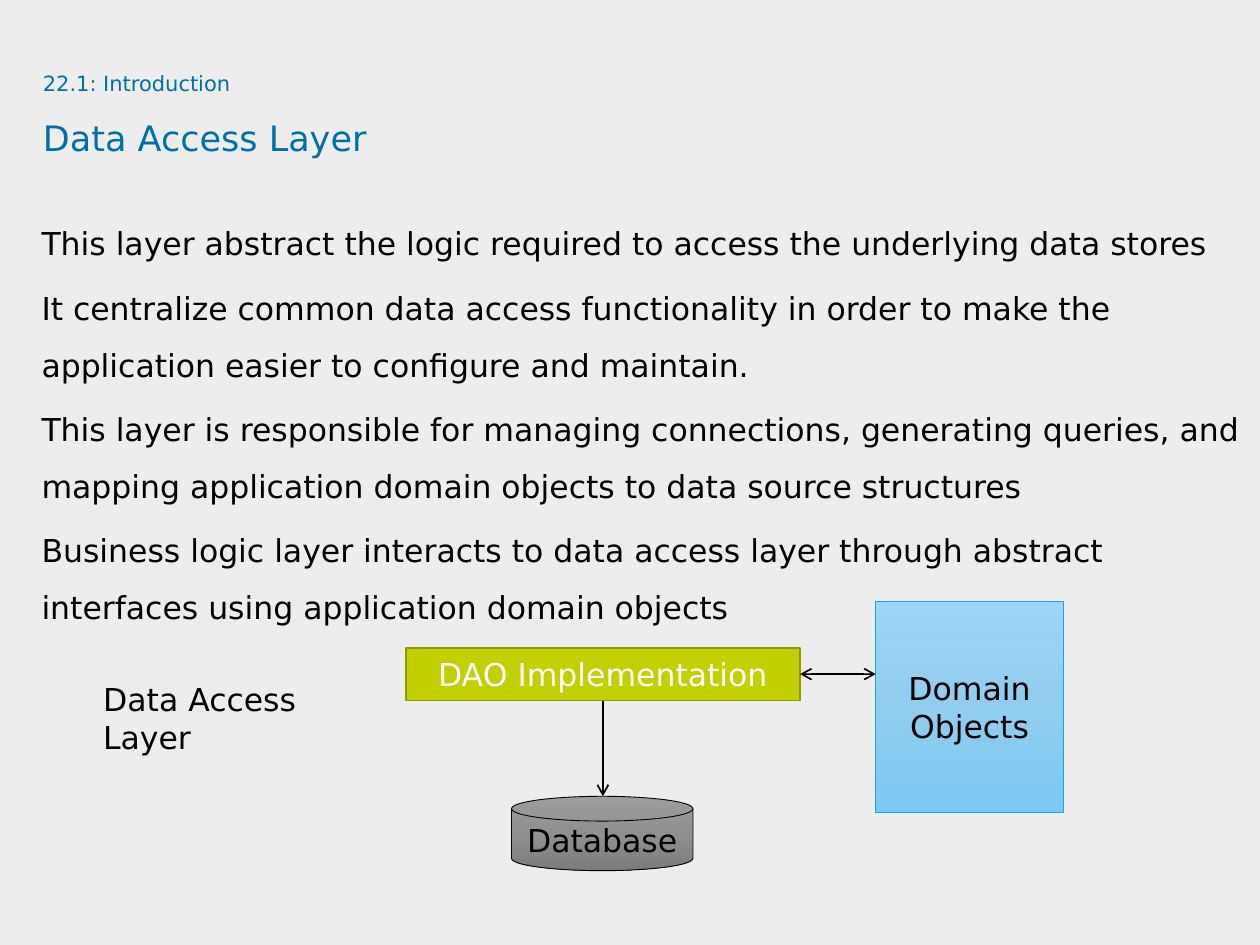
import copy
from dataclasses import dataclass

import pptx
import pptx.dml.color
import pptx.enum.shapes
import pptx.enum.text
import pptx.oxml
import pptx.oxml.ns
import pptx.util

Inches = pptx.util.Inches
Pt = pptx.util.Pt
SHAPE = pptx.enum.shapes.MSO_SHAPE
ALIGN = pptx.enum.text.PP_ALIGN
ANCHOR = pptx.enum.text.MSO_ANCHOR
qn = pptx.oxml.ns.qn


@dataclass(frozen=True)
class Theme:
    font: str = "DejaVu Sans"
    background: str = "EDEDED"
    heading: str = "0070AD"
    ink: str = "000000"
    light: str = "FFFFFF"
    dao_fill: tuple = ("C2CF00",)
    dao_line: str = "909900"
    database_fill: tuple = ("9D9D9D", "909090", "7C7C7C")
    domain_fill: tuple = ("9ED5F6", "91CDEF", "7CC8F3")
    domain_line: str = "12ABDB"
    section_size: int = 12
    title_size: int = 20
    body_size: int = 18


theme = Theme()

heading = [("22.1: Introduction ", theme.section_size), ("Data Access Layer", theme.title_size)]
statements = [
    "This layer abstract the logic required to access the underlying data stores",
    "It centralize common data access functionality in order to make the application easier to configure and maintain.",
    "This layer is responsible for managing connections, generating queries, and mapping application domain objects to data source structures",
    "Business logic layer interacts to data access layer through abstract interfaces using application domain objects",
]
layer_label = "Data Access Layer"
nodes = {
    "dao": dict(lines=["DAO Implementation"], kind=SHAPE.RECTANGLE, box=(3.22, 5.14, 3.13, 0.42),
                fill=theme.dao_fill, line=theme.dao_line, weight=1, ink=theme.light),
    "database": dict(lines=["Database"], kind=SHAPE.FLOWCHART_MAGNETIC_DISK, box=(4.06, 6.32, 1.44, 0.59),
                     fill=theme.database_fill, line=theme.ink, weight=0.5, ink=theme.ink),
    "domain": dict(lines=["Domain", "Objects"], kind=SHAPE.RECTANGLE, box=(6.95, 4.77, 1.49, 1.68),
                   fill=theme.domain_fill, line=theme.domain_line, weight=0.5, ink=theme.ink),
}


def rgb(code):
    return pptx.dml.color.RGBColor.from_string(code)


def add_run(paragraph, text, size=theme.body_size, color=theme.ink):
    run = paragraph.add_run()
    run.text = text
    run.font.name = theme.font
    run.font.size = Pt(size)
    run.font.color.rgb = rgb(color)


def paragraphs(frame, count):
    return [frame.paragraphs[0]] + [frame.add_paragraph() for _ in range(count - 1)]


def add_text_area(slide, box, inset=True):
    frame = slide.shapes.add_textbox(*map(Inches, box)).text_frame
    frame.word_wrap = True
    if not inset:
        frame.margin_left = frame.margin_top = frame.margin_right = frame.margin_bottom = 0
    return frame


def paint(shape, colors):
    if len(colors) == 1:
        shape.fill.solid()
        shape.fill.fore_color.rgb = rgb(colors[0])
        return
    shape.fill.gradient()
    shape.fill.gradient_angle = 270
    stops = shape._element.spPr.find(qn("a:gradFill")).find(qn("a:gsLst"))
    stops.insert(1, copy.deepcopy(stops[0]))
    for index, (stop, color) in enumerate(zip(shape.fill.gradient_stops, colors)):
        stop.position = index / (len(colors) - 1)
        stop.color.rgb = rgb(color)


def add_node(slide, node):
    shape = slide.shapes.add_shape(node["kind"], *map(Inches, node["box"]))
    shape.shadow.inherit = False
    paint(shape, node["fill"])
    shape.line.color.rgb = rgb(node["line"])
    shape.line.width = Pt(node["weight"])
    frame = shape.text_frame
    frame.word_wrap = True
    frame.vertical_anchor = ANCHOR.MIDDLE
    for paragraph, text in zip(paragraphs(frame, len(node["lines"])), node["lines"]):
        paragraph.alignment = ALIGN.CENTER
        add_run(paragraph, text, color=node["ink"])


def add_arrow(slide, start, end, heads):
    arrow = slide.shapes.add_connector(
        pptx.enum.shapes.MSO_CONNECTOR.STRAIGHT, *map(Inches, start + end))
    arrow.line.color.rgb = rgb(theme.ink)
    arrow.line.width = Pt(1)
    properties = arrow._element.spPr
    for head in heads:
        pptx.oxml.parse_xml(
            '<a:effectLst xmlns:a="http://schemas.openxmlformats.org/drawingml/2006/main"/>')
        line = properties.find(qn("a:ln"))
        line.append(line.makeelement(qn(head), {"type": "arrow"}))
    properties.append(properties.makeelement(qn("a:effectLst"), {}))


def main():
    deck = pptx.Presentation()
    deck.slide_width, deck.slide_height = Inches(10), Inches(7.5)
    slide = deck.slides.add_slide(deck.slide_layouts[6])
    slide.background.fill.solid()
    slide.background.fill.fore_color.rgb = rgb(theme.background)

    title = add_text_area(slide, (0.34, 0.46, 9.09, 0.94), inset=False).paragraphs[0]
    title.line_spacing = 1.5
    for index, (text, size) in enumerate(heading):
        if index:
            title.add_line_break()
        add_run(title, text, size, theme.heading)

    body = add_text_area(slide, (0.33, 1.63, 9.67, 5.08), inset=False)
    for paragraph, statement in zip(paragraphs(body, len(statements)), statements):
        paragraph.line_spacing = 1.5
        paragraph.space_after = Pt(4.5)
        add_run(paragraph, statement)

    for node in nodes.values():
        add_node(slide, node)
    add_run(add_text_area(slide, (0.72, 5.35, 2.02, 0.4)).paragraphs[0], layer_label)

    left, top, width, height = nodes["dao"]["box"]
    center, middle = left + width / 2, top + height / 2
    add_arrow(slide, (center, top + height), (center, nodes["database"]["box"][1]), ["a:tailEnd"])
    add_arrow(slide, (left + width, middle), (nodes["domain"]["box"][0], middle),
              ["a:headEnd", "a:tailEnd"])

    deck.save("out.pptx")


if __name__ == "__main__":
    main()
